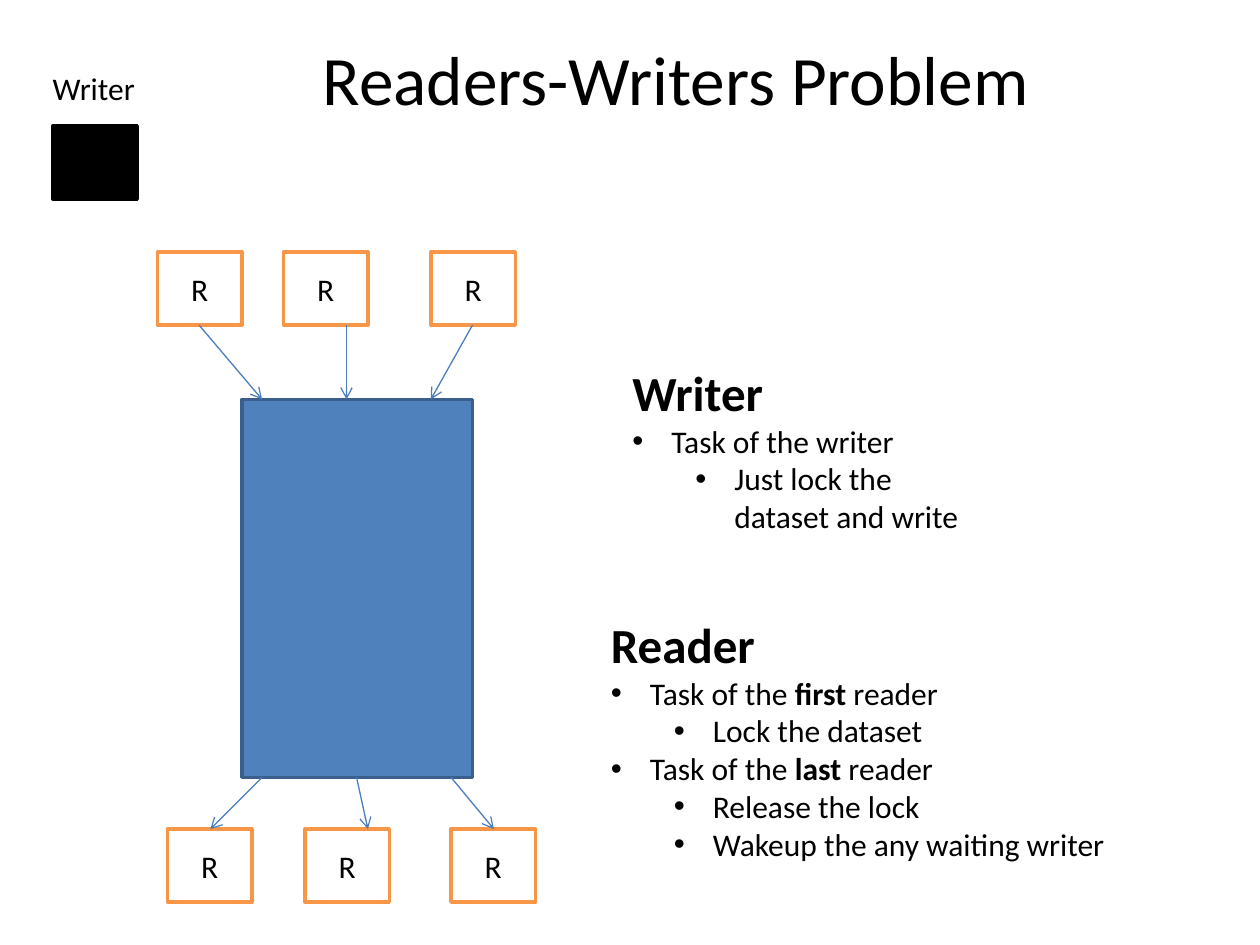
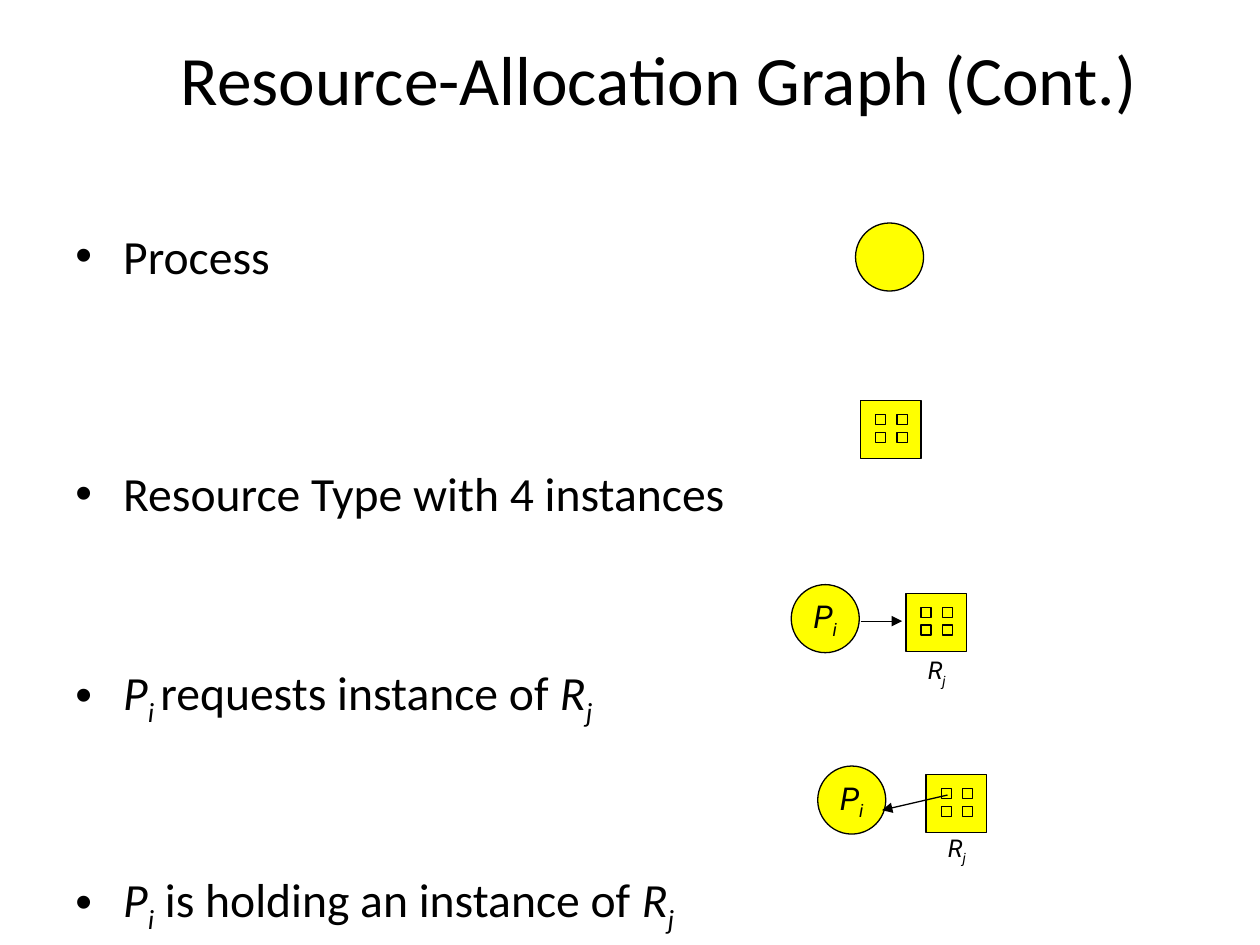
import pptx
import pptx.util
import pptx.dml.color
import pptx.enum.shapes
import pptx.enum.text
import pptx.oxml.ns
from lxml import etree

In = pptx.util.Inches
SHAPE = pptx.enum.shapes.MSO_SHAPE
ALIGN = pptx.enum.text.PP_ALIGN
MIDDLE = pptx.enum.text.MSO_ANCHOR.MIDDLE
BLACK, WHITE, YELLOW = "000000", "FFFFFF", "FFFF00"
BLUE, NAVY, STEEL, ORANGE = "4F81BD", "3A5F8C", "4B7EBC", "F79646"
STYLES = {
    "": {},
    "b": {"bold": True},
    "i": {"italic": True},
    "sub": {"italic": True},
}
P_I = [("P", "i"), ("i", "sub")]
R_J = [("R", "i"), ("j", "sub")]


def rgb(color):
    """Turn a hex string into a colour."""
    return pptx.dml.color.RGBColor.from_string(color)


def child(parent, tag, **attrs):
    """Append a drawing element with attributes."""
    return etree.SubElement(parent, pptx.oxml.ns.qn(tag), attrs)


def set_attrs(obj, values):
    """Set each named value on an object."""
    for name, value in values.items():
        setattr(obj, name, value)


def add_bullet(p, left, hang):
    """Give a paragraph a hanging bullet."""
    pPr = p._p.get_or_add_pPr()
    pPr.set("marL", str(In(left)))
    pPr.set("indent", str(-In(hang)))
    child(pPr, "a:buFont", typeface="Arial")
    child(pPr, "a:buChar", char="•")


def write(p, runs, size, font="Calibri"):
    """Write styled runs into a paragraph."""
    for text, style in runs:
        r = p.add_run()
        r.text = text
        set_attrs(r.font, {"size": pptx.util.Pt(size), "name": font, **STYLES[style]})
        r.font.color.rgb = rgb(BLACK)
        if style == "sub":
            r._r.get_or_add_rPr().set("baseline", "-25000")


def add_text(s, box, runs=(), size=18, font="Calibri", wrap=True, **frame):
    """Add a text box, centred when it is anchored in the middle."""
    tf = s.shapes.add_textbox(*map(In, box)).text_frame
    set_attrs(tf, {"word_wrap": wrap, **frame})
    if frame:
        tf.paragraphs[0].alignment = ALIGN.CENTER
    write(tf.paragraphs[0], runs, size, font)
    return tf


def add_title(s, box, text):
    """Add the slide title."""
    add_text(s, box, [(text, "")], 39.6, vertical_anchor=MIDDLE)


def add_box(s, kind, box, fill, line, width, runs=(), font="Calibri"):
    """Add a filled, outlined shape with an optional centred label."""
    sp = s.shapes.add_shape(kind, *map(In, box))
    sp.shadow.inherit = False
    sp.fill.solid()
    sp.fill.fore_color.rgb = rgb(fill)
    sp.line.color.rgb = rgb(line)
    sp.line.width = pptx.util.Pt(width)
    if runs:
        tf = sp.text_frame
        set_attrs(tf, {"word_wrap": False, "vertical_anchor": MIDDLE})
        tf.paragraphs[0].alignment = ALIGN.CENTER
        write(tf.paragraphs[0], runs, 18, font)


def add_arrow(s, start, end, color, head):
    """Add a thin arrow between two points."""
    c = s.shapes.add_connector(
        pptx.enum.shapes.MSO_CONNECTOR.STRAIGHT, *map(In, (*start, *end)))
    c.line.color.rgb = rgb(color)
    c.line.width = pptx.util.Pt(0.75)
    child(c.line._get_or_add_ln(), "a:tailEnd", type=head)
    child(c._element.spPr, "a:effectLst")


def reader_row(s, top, lefts):
    """Add a row of reader boxes."""
    for left in lefts:
        add_box(s, SHAPE.RECTANGLE, (left, top, 0.67, 0.58), WHITE, ORANGE, 2, [("R", "")])


def dataset_diagram(s, left, top):
    """Draw the dataset with readers entering above and leaving below."""
    width, height = 1.83, 3
    bottom = top + height
    add_box(s, SHAPE.RECTANGLE, (left, top, width, height), BLUE, NAVY, 2)
    reader_row(s, top - 1.17, [left + dx for dx in (-0.67, 0.33, 1.5)])
    reader_row(s, bottom + 0.41, [left + dx for dx in (-0.59, 0.5, 1.66)])
    for x1, x2 in ((-0.34, 0.16), (0.83, 0.83), (1.83, 1.5)):
        add_arrow(s, (left + x1, top - 0.59), (left + x2, top), STEEL, "arrow")
    for x1, x2 in ((0.16, -0.25), (0.91, 1), (1.66, 2)):
        add_arrow(s, (left + x1, bottom), (left + x2, bottom + 0.41), STEEL, "arrow")


def waiting_writer(s, left, top):
    """Draw the writer box under its label."""
    add_text(s, (left - 0.1, top - 0.5, 0.86, 0.4), [("Writer", "")], wrap=False)
    add_box(s, SHAPE.RECTANGLE, (left, top, 0.67, 0.58), BLACK, BLACK, 2)


def task_list(s, box, heading, tasks):
    """Add a bold heading over two levels of bullets."""
    tf = add_text(s, box, [(heading, "b")], 28)
    for level, runs in tasks:
        p = tf.add_paragraph()
        p.level = level
        add_bullet(p, 0.31 + 0.5 * level, 0.31)
        write(p, runs, 18)


def readers_writers_slide(prs):
    """Build the readers-writers slide."""
    s = prs.slides.add_slide(prs.slide_layouts[6])
    add_title(s, (1.23, 0.3, 8.27, 0.63), "Readers-Writers Problem")
    waiting_writer(s, 0.42, 1)
    dataset_diagram(s, 1.92, 3.17)
    task_list(s, (4.92, 2.83, 2.83, 1.78), "Writer", [
        (0, [("Task of the writer", "")]),
        (1, [("Just lock the dataset and write", "")]),
    ])
    task_list(s, (4.75, 4.83, 4.58, 2.09), "Reader", [
        (0, [("Task of the ", ""), ("first ", "b"), ("reader", "")]),
        (1, [("Lock the dataset", "")]),
        (0, [("Task of the ", ""), ("last", "b"), (" reader", "")]),
        (1, [("Release the lock", "")]),
        (1, [("Wakeup the any waiting writer", "")]),
    ])


def process(s, left, top, runs=()):
    """Draw a process circle."""
    add_box(s, SHAPE.OVAL, (left, top, 0.54, 0.54), YELLOW, BLACK, 0.75, runs, "Roboto")


def resource(s, left, top):
    """Draw a resource box holding four instances."""
    group = s.shapes.add_group_shape()
    add_box(group, SHAPE.RECTANGLE, (left, top, 0.48, 0.46), YELLOW, BLACK, 0.75)
    for row in range(2):
        for col in range(2):
            x, y = left + 0.12 + 0.17 * col, top + 0.11 + 0.14 * row
            add_box(group, SHAPE.RECTANGLE, (x, y, 0.08, 0.08), YELLOW, BLACK, 0.75)


def resource_label(s, left, top):
    """Name a resource below its box."""
    add_text(s, (left, top, 0.37, 0.33), R_J, 14, "Roboto", False, vertical_anchor=MIDDLE)


def legend(s, box):
    """List the graph symbols with a gap above each later entry."""
    tf = add_text(s, box)
    entries = [
        (0, [("Process", "")]),
        (103, [("Resource Type with 4 instances", "")]),
        (81, [("P", "i"), ("i ", "sub"), ("requests instance of ", "")] + R_J),
        (81, P_I + [(" is holding an instance of ", "")] + R_J),
    ]
    for n, (gap, runs) in enumerate(entries):
        p = tf.add_paragraph() if n else tf.paragraphs[0]
        if gap:
            p.space_before = pptx.util.Pt(gap)
        add_bullet(p, 0.38, 0.38)
        write(p, runs, 27.2)


def allocation_graph_slide(prs):
    """Build the resource-allocation graph slide."""
    s = prs.slides.add_slide(prs.slide_layouts[6])
    add_title(s, (0.96, 0.3, 8.54, 0.63), "Resource-Allocation Graph (Cont.)")
    legend(s, (0.5, 1.75, 9, 4.95))
    process(s, 6.79, 1.77)
    process(s, 6.49, 6.08, P_I)
    process(s, 6.28, 4.64, P_I)
    for left, top in ((6.83, 3.18), (7.19, 4.71), (7.35, 6.15)):
        resource(s, left, top)
    add_arrow(s, (6.83, 4.93), (7.16, 4.93), BLACK, "triangle")
    add_arrow(s, (7.52, 6.31), (7, 6.43), BLACK, "triangle")
    resource_label(s, 7.25, 5.17)
    resource_label(s, 7.41, 6.58)


def main():
    """Build and save the presentation."""
    prs = pptx.Presentation()
    set_attrs(prs, {"slide_width": In(10), "slide_height": In(7.5)})
    readers_writers_slide(prs)
    allocation_graph_slide(prs)
    prs.save("out.pptx")


if __name__ == "__main__":
    main()
